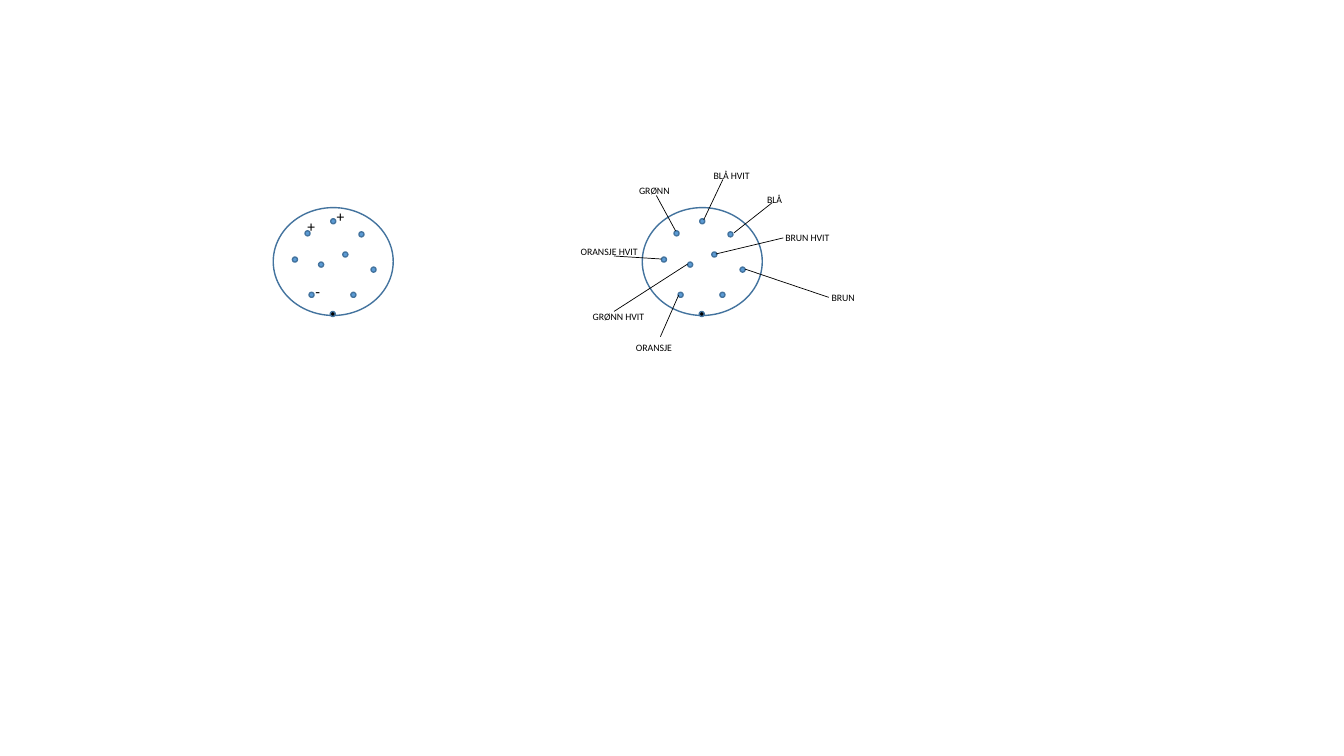
from lxml import etree
from pptx import Presentation
from pptx.dml.color import RGBColor
from pptx.enum.shapes import MSO_CONNECTOR, MSO_SHAPE
from pptx.enum.text import MSO_AUTO_SIZE
from pptx.oxml.ns import qn
from pptx.util import Inches, Pt

OVAL = MSO_SHAPE.OVAL
STRAIGHT = MSO_CONNECTOR.STRAIGHT
FIT = MSO_AUTO_SIZE.SHAPE_TO_FIT_TEXT

COLORS = {"outline": "43739E", "pin": "5B9BD5", "key": "000000", "ink": "000000"}
FONT = "Calibri"

# Left and top of each plug face
PLUGS = [(6.37, 2.06), (2.71, 2.06)]
PLUG_SIZE = (1.19, 1.07)
PIN_SIZE = (0.05, 0.05)

# Pin offsets from the left and top of the plug, with fill colour
PINS = [
    (0.57, 0.11, "pin"), (0.315, 0.23, "pin"), (0.85, 0.24, "pin"),
    (0.69, 0.44, "pin"), (0.19, 0.49, "pin"), (0.45, 0.54, "pin"),
    (0.355, 0.84, "pin"), (0.565, 1.03, "key"), (0.77, 0.84, "pin"),
    (0.97, 0.59, "pin"),
]

# Text, box (left, top, width, height)
POLES = [
    ("+", (3.24, 2.01, 0.28, 0.29)),
    ("+", (2.95, 2.10, 0.28, 0.29)),
    ("-", (3.03, 2.75, 0.25, 0.29)),
]

# Text, box (left, top, width), leader start, leader end
WIRES = [
    ("BLÅ HVIT", (6.98, 1.63, 0.56), (6.98, 2.18), (7.17, 1.78)),
    ("BLÅ", (7.51, 1.87, 0.35), (7.28, 2.31), (7.66, 2.01)),
    ("GRØNN", (6.24, 1.78, 0.51), (6.70, 2.29), (6.51, 1.94)),
    ("BRUN", (8.15, 2.84, 0.43), (7.39, 2.67), (8.22, 2.95)),
    ("BRUN HVIT", (7.69, 2.25, 0.65), (7.10, 2.52), (7.77, 2.36)),
    ("ORANSJE", (6.21, 3.34, 0.56), (6.55, 3.34), (6.73, 2.93)),
    ("GRØNN HVIT", (5.78, 3.03, 0.72), (6.09, 3.09), (6.82, 2.62)),
    ("ORANSJE HVIT", (5.66, 2.39, 0.78), (6.09, 2.54), (6.56, 2.57)),
]
WIRE_HEIGHT = 0.22


def color(name):
    """Return the named colour."""
    return RGBColor.from_string(COLORS[name])


def inches(values):
    """Turn a row of numbers into lengths."""
    return [Inches(value) for value in values]


def add_circle(page, place, fill=None):
    """Draw an outlined ellipse, empty unless a fill is named."""
    circle = page.shapes.add_shape(OVAL, *inches(place))
    circle.shadow.inherit = False
    circle.line.color.rgb = color("outline")
    circle.line.width = Pt(1)
    if fill:
        circle.fill.solid()
        circle.fill.fore_color.rgb = color(fill)
    else:
        circle.fill.background()


def add_plug(page, left, top):
    """Draw a plug face with its pins."""
    add_circle(page, (left, top, *PLUG_SIZE))
    for right, down, fill in PINS:
        add_circle(page, (left + right, top + down, *PIN_SIZE), fill)


def add_label(page, text, place, size):
    """Write one unwrapped line of text."""
    box = page.shapes.add_textbox(*inches(place))
    frame = box.text_frame
    for name, value in {"word_wrap": False, "auto_size": FIT}.items():
        setattr(frame, name, value)
    span = frame.paragraphs[0].add_run()
    span.text = text
    for name, value in {"name": FONT, "size": Pt(size)}.items():
        setattr(span.font, name, value)
    span.font.color.rgb = color("ink")


def add_leader(page, start, end):
    """Draw a thin line between a pin and its label."""
    leader = page.shapes.add_connector(STRAIGHT, *inches(start + end))
    leader.line.color.rgb = color("ink")
    leader.line.width = Pt(0.5)
    etree.SubElement(leader._element.spPr, qn("a:effectLst"))


deck = Presentation()
deck.slide_width, deck.slide_height = inches((13.33, 7.5))
page = deck.slides.add_slide(deck.slide_layouts[6])

for left, top in PLUGS:
    add_plug(page, left, top)
for text, place in POLES:
    add_label(page, text, place, 11)
for text, place, start, end in WIRES:
    add_label(page, text, (*place, WIRE_HEIGHT), 7)
    add_leader(page, start, end)

deck.save("out.pptx")
